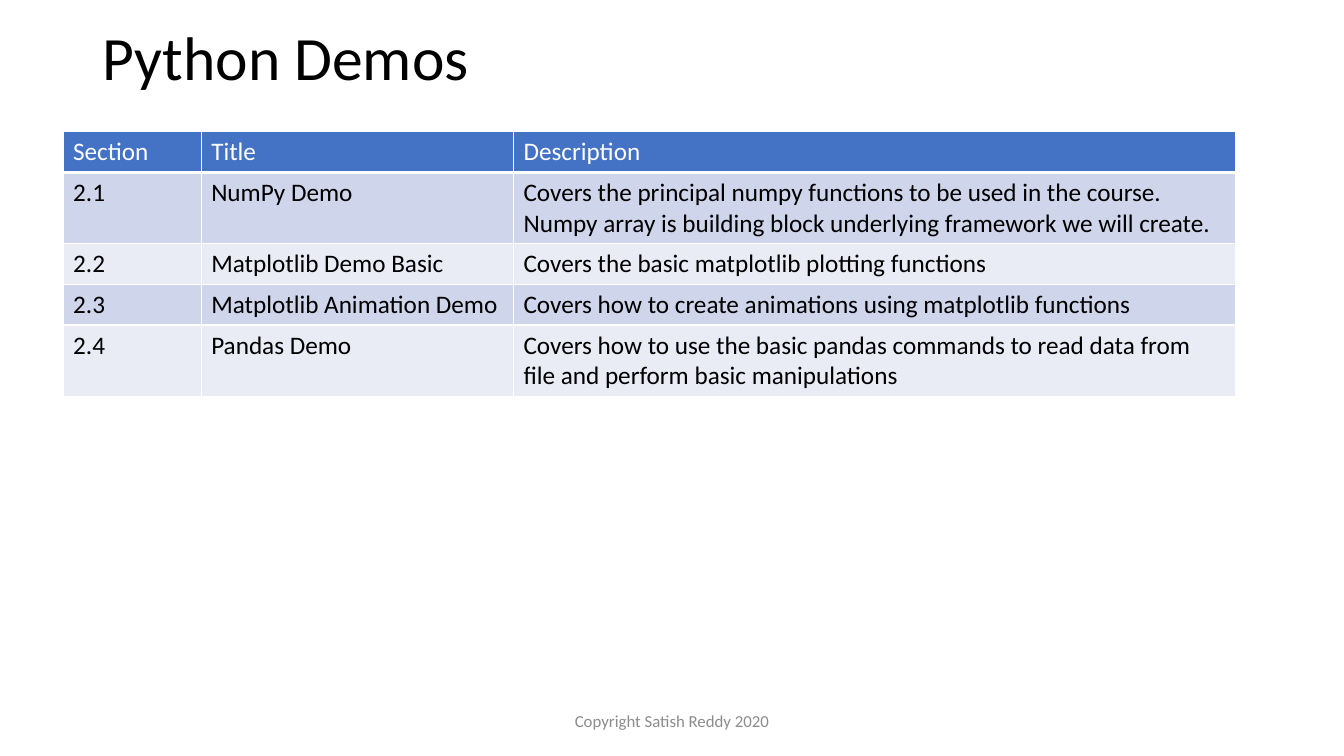
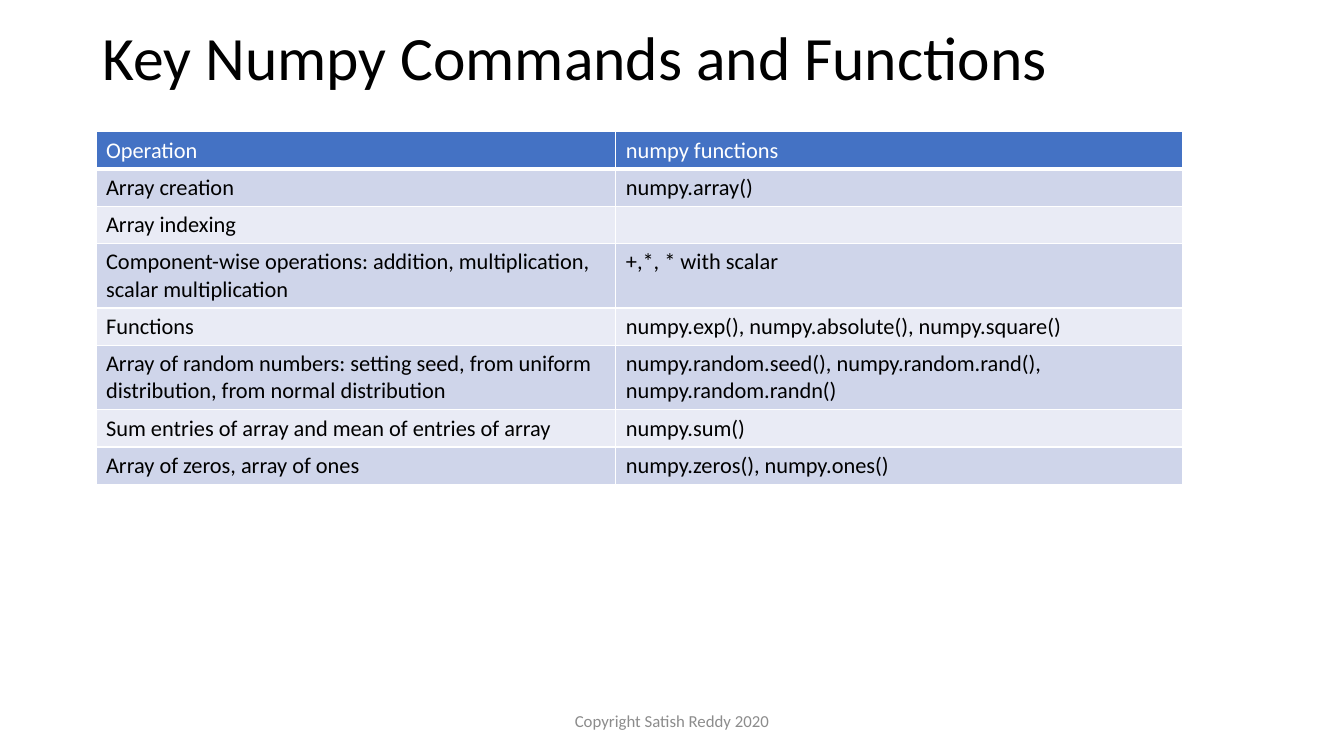
from lxml import etree
from pptx import Presentation, util as u
from pptx.dml.color import RGBColor
from pptx.enum import text
from pptx.oxml.ns import qn

FONT = "Calibri"
COLORS = {"ink": "000000", "white": "FFFFFF", "header": "4472C4",
          "odd": "CFD5EA", "even": "E9EBF5", "footer": "8C8C8C"}
FOOTER = "Copyright Satish Reddy 2020"
TABLE_TOP = 3.32

# Each row is (number of text lines, cell texts); lengths are in centimetres.
SLIDES = [
    {"title": "Python Demos", "left": 1.59, "size": 18,
     "columns": [3.48, 7.87, 18.21],
     "rows": [
         (1, ["Section", "Title", "Description"]),
         (2, ["2.1", "NumPy Demo",
              "Covers the principal numpy functions to be used in the course. "
              "Numpy array is building block underlying framework we will create."]),
         (1, ["2.2", "Matplotlib Demo Basic",
              "Covers the basic matplotlib plotting functions"]),
         (1, ["2.3", "Matplotlib Animation Demo",
              "Covers how to create animations using matplotlib functions"]),
         (2, ["2.4", "Pandas Demo",
              "Covers how to use the basic pandas commands to read data from "
              "file and perform basic manipulations"]),
     ]},
    {"title": "Key Numpy Commands and Functions", "left": 2.42, "size": 16,
     "columns": [13.1, 14.28],
     "rows": [
         (1, ["Operation", "numpy functions"]),
         (1, ["Array creation", "numpy.array()"]),
         (1, ["Array indexing", ""]),
         (2, ["Component-wise operations: addition, multiplication, "
              "scalar multiplication", "+,*, * with scalar"]),
         (1, ["Functions", "numpy.exp(), numpy.absolute(), numpy.square()"]),
         (2, ["Array of random numbers: setting seed, from uniform "
              "distribution, from normal distribution",
              "numpy.random.seed(), numpy.random.rand(), numpy.random.randn()"]),
         (1, ["Sum entries of array and mean of entries of array", "numpy.sum()"]),
         (1, ["Array of zeros, array of ones", "numpy.zeros(), numpy.ones()"]),
     ]},
]


def rgb(name):
    """Return the named colour."""
    return RGBColor.from_string(COLORS[name])


def style(p, size, color, align=text.PP_ALIGN.LEFT):
    """Set the font and alignment of a paragraph."""
    p.alignment = align
    p.font.name, p.font.size, p.font.bold = FONT, u.Pt(size), False
    p.font.color.rgb = rgb(color)


def add_title(s, title):
    """Place and fill the title placeholder."""
    sp = s.shapes.title
    sp.left, sp.top, sp.width, sp.height = map(u.Cm, (2.33, 0.3, 29.21, 2.46))
    tf = sp.text_frame
    tf.text = title
    tf.vertical_anchor = text.MSO_ANCHOR.MIDDLE
    p = tf.paragraphs[0]
    p.line_spacing = 0.9
    style(p, 44, "ink")


def add_footer(s):
    """Add the centred copyright line."""
    sp = s.shapes.add_textbox(*map(u.Cm, (11.22, 17.65, 11.43, 1.02)))
    tf = sp.text_frame
    tf.word_wrap = True
    tf.vertical_anchor = text.MSO_ANCHOR.MIDDLE
    tf.text = FOOTER
    style(tf.paragraphs[0], 12, "footer", text.PP_ALIGN.CENTER)


def set_borders(cell, is_header):
    """Draw white cell borders, with a thicker rule below the header."""
    tc_pr = cell._tc.get_or_add_tcPr()
    for side in ("lnL", "lnR", "lnT", "lnB"):
        width = 3 if is_header and side == "lnB" else 1
        ln = etree.SubElement(tc_pr, qn("a:" + side), w=str(u.Pt(width)))
        fill = etree.SubElement(ln, qn("a:solidFill"))
        etree.SubElement(fill, qn("a:srgbClr"), val=COLORS["white"])


def add_table(s, left, size, columns, rows):
    """Add a banded table whose row heights follow their line counts."""
    heights = [u.Cm(0.25) + u.Pt(1.22 * size * lines) for lines, _ in rows]
    table = s.shapes.add_table(len(rows), len(columns), u.Cm(left), u.Cm(TABLE_TOP),
                               u.Cm(sum(columns)), sum(heights)).table
    for column, width in zip(table.columns, columns):
        column.width = u.Cm(width)
    for i, (_, texts) in enumerate(rows):
        table.rows[i].height = heights[i]
        band = "header" if i == 0 else "odd" if i % 2 else "even"
        for j, words in enumerate(texts):
            cell = table.cell(i, j)
            cell.text = words
            set_borders(cell, i == 0)
            cell.fill.solid()
            cell.fill.fore_color.rgb = rgb(band)
            style(cell.text_frame.paragraphs[0], size, "ink" if i else "white")


prs = Presentation()
prs.slide_width, prs.slide_height = u.Cm(33.87), u.Cm(19.05)
for content in SLIDES:
    s = prs.slides.add_slide(prs.slide_layouts[5])
    add_title(s, content["title"])
    add_footer(s)
    add_table(s, content["left"], content["size"], content["columns"], content["rows"])
prs.save("out.pptx")
